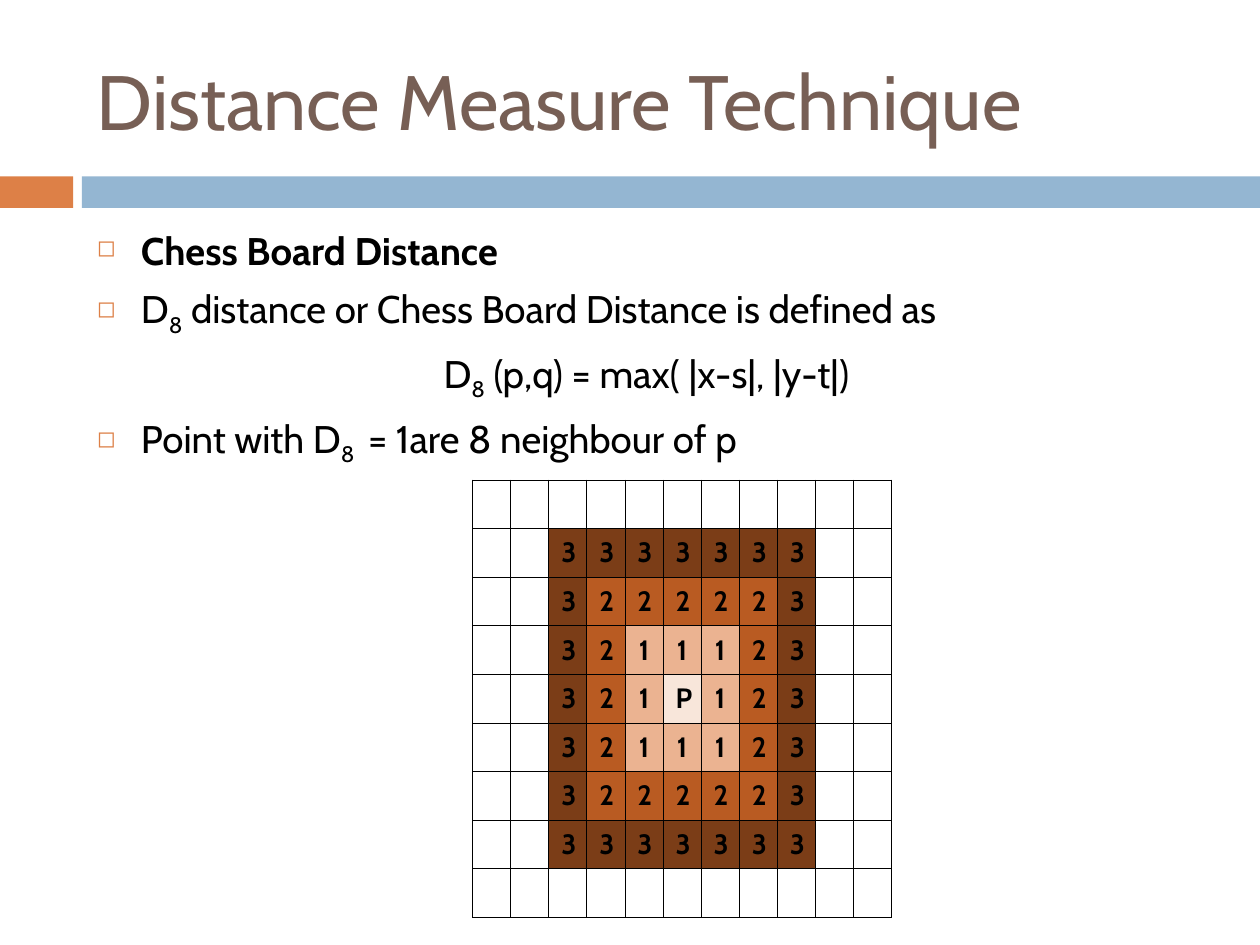
from lxml.etree import SubElement
from pptx import Presentation
from pptx.dml.color import RGBColor
from pptx.enum.shapes import MSO_SHAPE
from pptx.enum.text import MSO_ANCHOR, PP_ALIGN
from pptx.oxml.ns import qn
from pptx.util import Inches, Pt

FONT = "Cabin"
BLACK = RGBColor(0x00, 0x00, 0x00)
BROWN = RGBColor(0x77, 0x5F, 0x55)
ORANGE = RGBColor(0xDD, 0x80, 0x47)
BLUE = RGBColor(0x94, 0xB6, 0xD2)
RING_FILLS = [
    RGBColor(0xF8, 0xE6, 0xDA),
    RGBColor(0xEB, 0xB3, 0x91),
    RGBColor(0xB9, 0x5B, 0x22),
    RGBColor(0x7B, 0x3D, 0x17),
]
ROWS, COLS = 9, 11

BODY = [
    ([("Chess Board Distance", False)], True, True),
    ([("D", False), ("8", True),
      (" distance or Chess Board Distance is defined as", False)], True, False),
    ([("D", False), ("8", True), (" (p,q) = max( |x-s|, |y-t|)", False)], False, False),
    ([("Point with D", False), ("8 ", True),
      (" = 1are 8 neighbour of p", False)], True, False),
]


def style(font, size, color, bold=False):
    font.name = FONT
    font.size = Pt(size)
    font.color.rgb = color
    font.bold = bold


def add_text_box(s, left, top, width, height):
    box = s.shapes.add_textbox(Inches(left), Inches(top), Inches(width), Inches(height))
    tf = box.text_frame
    tf.word_wrap = True
    return tf


def add_band(s, left, top, width, height):
    accent, gap = 0.58, 0.07
    bar_left = accent + gap
    for x, w, color in ((0, accent, ORANGE), (bar_left, width - bar_left, BLUE)):
        sp = s.shapes.add_shape(MSO_SHAPE.RECTANGLE, Inches(left + x), Inches(top),
                                Inches(w), Inches(height))
        sp.shadow.inherit = False
        sp.fill.solid()
        sp.fill.fore_color.rgb = color
        sp.line.fill.background()


def add_title(s, left, top, width, height):
    tf = add_text_box(s, left, top, width, height)
    tf.vertical_anchor = MSO_ANCHOR.MIDDLE
    tf.text = "Distance Measure Technique"
    style(tf.paragraphs[0].runs[0].font, 44, BROWN)


def set_bullet(pPr):
    color = SubElement(pPr, qn("a:buClr"))
    SubElement(color, qn("a:srgbClr"), val=str(ORANGE))
    SubElement(pPr, qn("a:buSzPct"), val="60000")
    SubElement(pPr, qn("a:buChar"), char="◻")


def add_body(s, left, top, width, height):
    tf = add_text_box(s, left, top, width, height)
    for i, (parts, bulleted, bold) in enumerate(BODY):
        p = tf.add_paragraph() if i else tf.paragraphs[0]
        pPr = p._p.get_or_add_pPr()
        pPr.set("marL", str(Inches(0.35)))
        pPr.set("indent", str(-Inches(0.35)))
        if bulleted:
            set_bullet(pPr)
        p.alignment = PP_ALIGN.JUSTIFY if bulleted else PP_ALIGN.CENTER
        if i:
            p.space_before = Pt(7)
        for text, subscript in parts:
            r = p.add_run()
            r.text = text
            style(r.font, 22, BLACK, bold)
            if subscript:
                r.font._element.set("baseline", "-25000")


def set_borders(cell):
    tcPr = cell._tc.get_or_add_tcPr()
    for i, side in enumerate(("lnL", "lnR", "lnT", "lnB")):
        ln = tcPr.makeelement(qn("a:" + side), {"w": str(Pt(0.45))})
        fill = SubElement(ln, qn("a:solidFill"))
        SubElement(fill, qn("a:srgbClr"), val=str(BLACK))
        tcPr.insert(i, ln)


def add_distance_grid(s, left, top, width, height):
    table = s.shapes.add_table(ROWS, COLS, Inches(left), Inches(top),
                               Inches(width), Inches(height)).table
    table.first_row = False
    table.horz_banding = False
    for column in table.columns:
        column.width = int(Inches(width) / COLS)
    for row in table.rows:
        row.height = int(Inches(height) / ROWS)
    for i in range(ROWS):
        for j in range(COLS):
            cell = table.cell(i, j)
            distance = max(abs(i - ROWS // 2), abs(j - COLS // 2))
            if distance < len(RING_FILLS):
                cell.fill.solid()
                cell.fill.fore_color.rgb = RING_FILLS[distance]
                cell.vertical_anchor = MSO_ANCHOR.MIDDLE
                cell.text = str(distance or "P")
                p = cell.text_frame.paragraphs[0]
                p.alignment = PP_ALIGN.CENTER
                style(p.runs[0].font, 16, BLACK, True)
            else:
                cell.fill.background()
                cell.margin_top = cell.margin_bottom = 0
            set_borders(cell)


def main():
    prs = Presentation()
    prs.slide_width = Inches(10)
    prs.slide_height = Inches(7.5)
    s = prs.slides.add_slide(prs.slide_layouts[6])
    add_band(s, 0, 1.4, 10, 0.25)
    add_title(s, 0.67, 0.25, 8.92, 1.08)
    add_body(s, 0.67, 1.75, 8.92, 2.33)
    add_distance_grid(s, 3.75, 3.81, 3.33, 3.47)
    prs.save("out.pptx")


if __name__ == "__main__":
    main()
